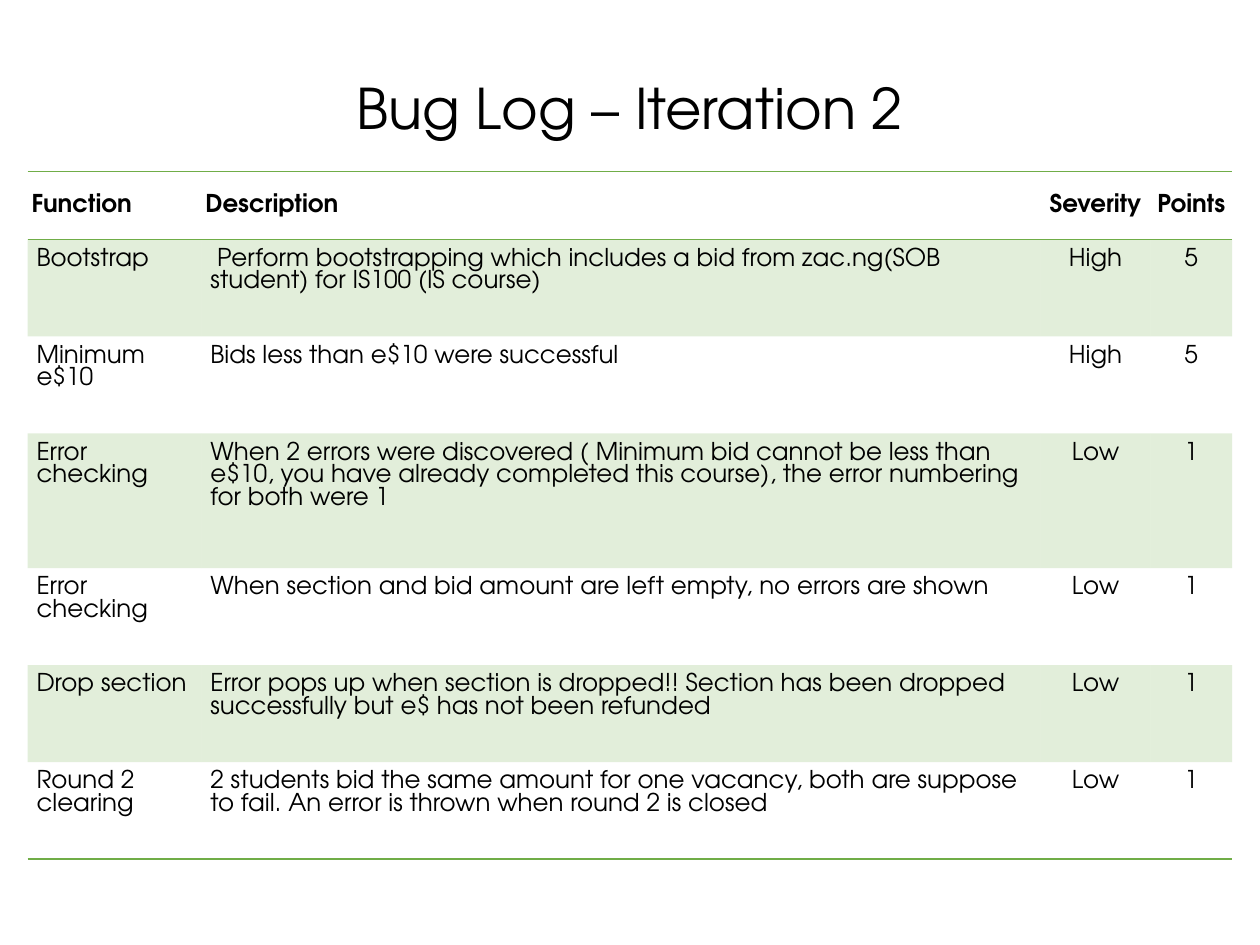
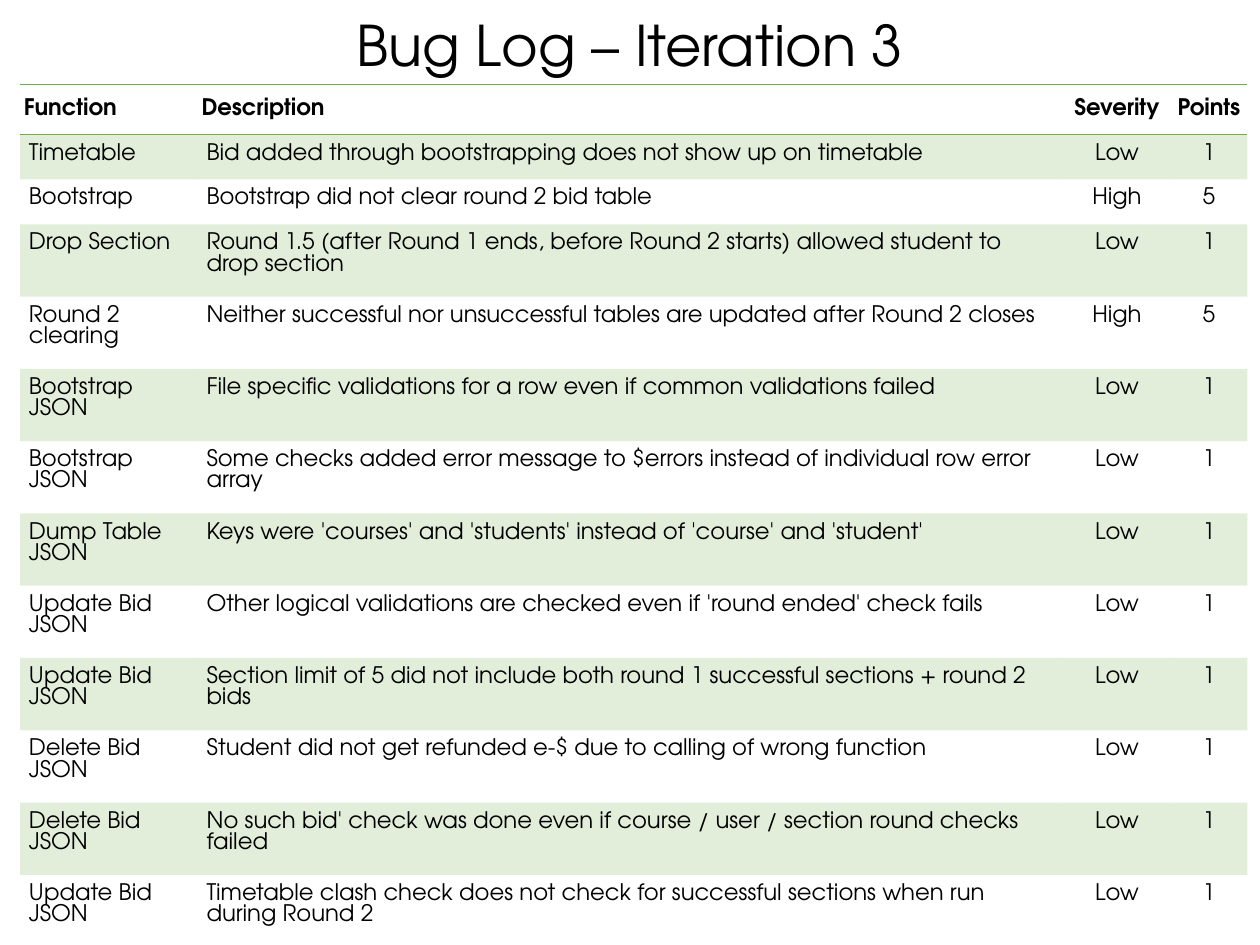
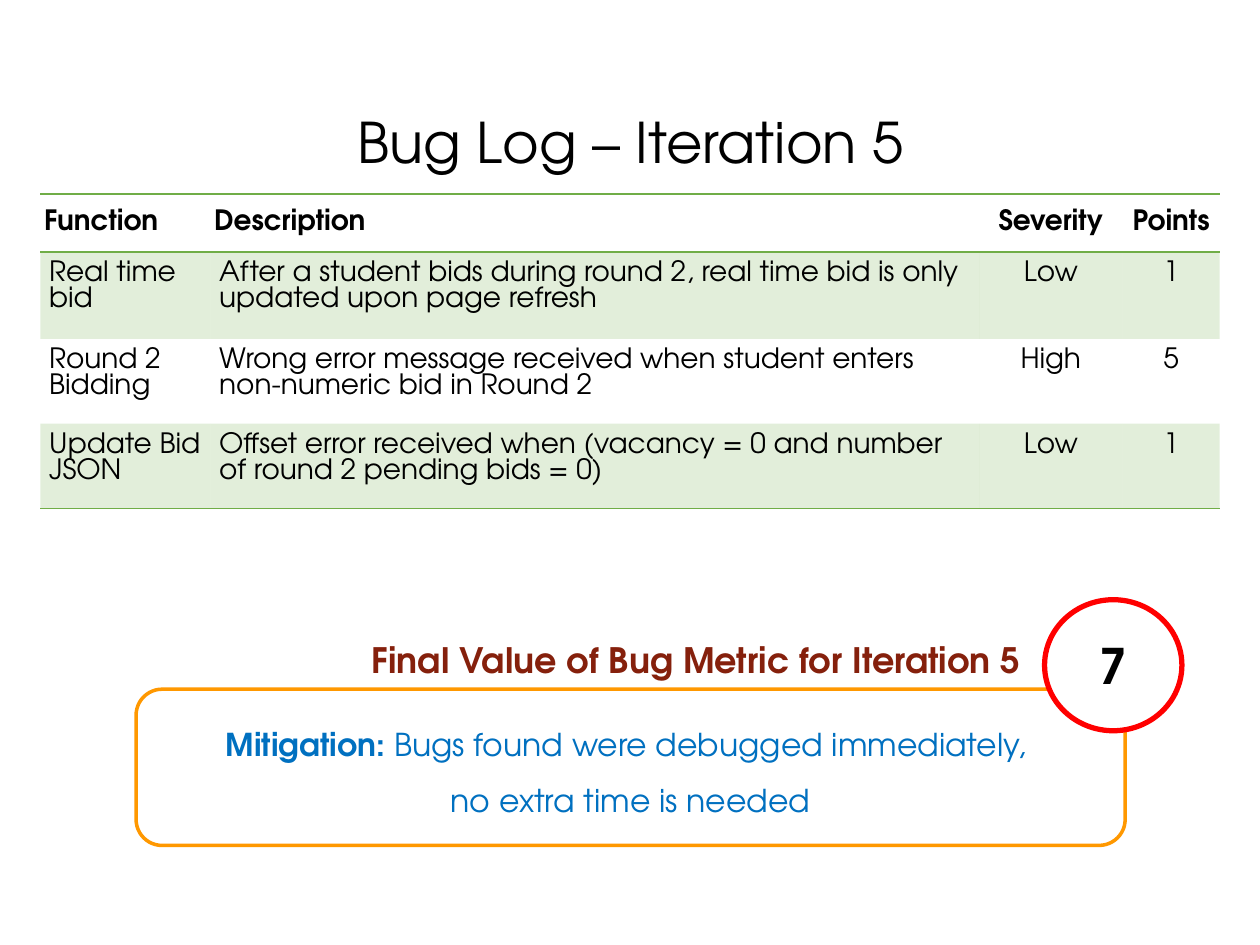
from dataclasses import dataclass

from lxml.etree import SubElement
from pptx import Presentation
from pptx.dml.color import RGBColor
from pptx.enum.shapes import MSO_SHAPE as SHAPE
from pptx.enum.text import MSO_ANCHOR as ANCHOR, PP_ALIGN as ALIGN
from pptx.oxml.ns import qn
from pptx.util import Inches, Pt

NO_STYLE = "{2D5ABB26-0587-4C30-8999-92F81FD0307C}"
HEADINGS = ("Function", "Description", "Severity", "Points")
POINTS = {"Low": "1", "High": "5"}


@dataclass(frozen=True)
class Theme:
    font: str = "TeX Gyre Adventor"
    black: str = "000000"
    white: str = "FFFFFF"
    green: str = "70AD47"
    orange: str = "FF9800"
    red: str = "FF0000"
    blue: str = "0070C0"
    brown: str = "85200C"
    band_alpha: int = 20000
    title_size: int = 32
    score_size: int = 28
    metric_size: int = 20
    note_size: int = 18


class Deck:
    def __init__(self, theme):
        self.theme = theme
        self.prs = Presentation()
        self.prs.slide_width, self.prs.slide_height = Inches(10), Inches(7.5)
        self.s = None

    def new_slide(self):
        self.s = self.prs.slides.add_slide(self.prs.slide_layouts[6])

    def add_runs(self, tf, paragraphs, size, color, align=ALIGN.LEFT, spacing=None):
        """Fill a text frame; each paragraph is a list of (text, bold) runs."""
        tf.word_wrap = True
        for i, runs in enumerate(paragraphs):
            p = tf.add_paragraph() if i else tf.paragraphs[0]
            p.alignment = align
            if spacing:
                p.line_spacing = spacing
            for text, bold in runs:
                r = p.add_run()
                r.text = text
                r.font.name, r.font.size, r.font.bold = self.theme.font, Pt(size), bold
                r.font.color.rgb = RGBColor.from_string(color)

    def set_margins(self, holder, x, y):
        holder.margin_left = holder.margin_right = Inches(x)
        holder.margin_top = holder.margin_bottom = Inches(y)

    def text(self, box, runs, size, color, margins, anchor=ANCHOR.TOP, **style):
        tf = self.s.shapes.add_textbox(*map(Inches, box)).text_frame
        self.set_margins(tf, *margins)
        tf.vertical_anchor = anchor
        self.add_runs(tf, [runs], size, color, **style)

    def title(self, text, box):
        self.text(box, [(text, False)], self.theme.title_size, self.theme.black,
                  (0.1, 0.05), ANCHOR.MIDDLE, align=ALIGN.CENTER, spacing=0.9)

    def outlined(self, kind, box, line, width, paragraphs, size, color, margins,
                 anchor=ANCHOR.TOP, spacing=None):
        sp = self.s.shapes.add_shape(kind, *map(Inches, box))
        sp.shadow.inherit = False
        sp.fill.solid()
        sp.fill.fore_color.rgb = RGBColor.from_string(self.theme.white)
        sp.line.color.rgb = RGBColor.from_string(line)
        sp.line.width = Pt(width)
        tf = sp.text_frame
        self.set_margins(tf, *margins)
        tf.vertical_anchor = anchor
        self.add_runs(tf, paragraphs, size, color, ALIGN.CENTER, spacing)

    def rule(self, cell, *sides):
        """Draw green borders; must run before the cell is filled."""
        for side in sides:
            ln = SubElement(cell._tc.get_or_add_tcPr(), qn(f"a:{side}"), w=str(Pt(1)))
            SubElement(SubElement(ln, qn("a:solidFill")), qn("a:srgbClr"),
                       val=self.theme.green)

    def band(self, cell):
        cell.fill.solid()
        cell.fill.fore_color.rgb = RGBColor.from_string(self.theme.green)
        clr = cell._tc.tcPr.find(f"{qn('a:solidFill')}/{qn('a:srgbClr')}")
        SubElement(clr, qn("a:alpha"), val=str(self.theme.band_alpha))

    def bug_table(self, left, top, widths, heights, bugs, size):
        rows = [HEADINGS] + [(*bug, POINTS[bug[-1]]) for bug in bugs]
        frame = self.s.shapes.add_table(len(rows), len(widths), Inches(left), Inches(top),
                                        Inches(sum(widths)), Inches(sum(heights)))
        table = frame.table
        table.first_row = table.horz_banding = False
        table._tbl.tblPr[0].text = NO_STYLE
        for column, width in zip(table.columns, widths):
            column.width = Inches(width)
        for i, (row, height, values) in enumerate(zip(table.rows, heights, rows)):
            row.height = Inches(height)
            header = i == 0
            for j, (cell, value) in enumerate(zip(row.cells, values)):
                self.set_margins(cell, *((0.03, 0.09) if header else (0.07, 0.07)))
                cell.vertical_anchor = ANCHOR.MIDDLE if header else ANCHOR.TOP
                self.add_runs(cell.text_frame, [[(value, header)]], size, self.theme.black,
                              ALIGN.CENTER if j >= 2 else ALIGN.LEFT)
                if header:
                    self.rule(cell, "lnT", "lnB")
                elif i == len(rows) - 1:
                    self.rule(cell, "lnB")
                if i % 2:
                    self.band(cell)
                else:
                    cell.fill.background()


ITERATION_2 = [
    ("Bootstrap", " Perform bootstrapping which includes a bid from zac.ng(SOB student) "
     "for IS100 (IS course)", "High"),
    ("Minimum e$10", "Bids less than e$10 were successful", "High"),
    ("Error checking", "When 2 errors were discovered ( Minimum bid cannot be less than "
     "e$10, you have already completed this course), the error numbering for both were 1",
     "Low"),
    ("Error checking", "When section and bid amount are left empty, no errors are shown",
     "Low"),
    ("Drop section", "Error pops up when section is dropped!! Section has been dropped "
     "successfully but e$ has not been refunded", "Low"),
    ("Round 2 clearing", "2 students bid the same amount for one vacancy, both are suppose "
     "to fail. An error is thrown when round 2 is closed", "Low"),
]

ITERATION_3 = [
    ("Timetable", "Bid added through bootstrapping does not show up on timetable", "Low"),
    ("Bootstrap", "Bootstrap did not clear round 2 bid table", "High"),
    ("Drop Section", "Round 1.5 (after Round 1 ends, before Round 2 starts) allowed student "
     "to drop section", "Low"),
    ("Round 2 clearing", "Neither successful nor unsuccessful tables are updated after "
     "Round 2 closes", "High"),
    ("Bootstrap JSON", "File specific validations for a row even if common validations "
     "failed", "Low"),
    ("Bootstrap JSON", "Some checks added error message to $errors instead of individual "
     "row error array", "Low"),
    ("Dump Table JSON", "Keys were 'courses' and 'students' instead of 'course' and "
     "'student'", "Low"),
    ("Update Bid JSON", "Other logical validations are checked even if 'round ended' check "
     "fails", "Low"),
    ("Update Bid JSON", "Section limit of 5 did not include both round 1 successful "
     "sections + round 2 bids", "Low"),
    ("Delete Bid JSON", "Student did not get refunded e-$ due to calling of wrong function",
     "Low"),
    ("Delete Bid JSON", "No such bid' check was done even if course / user / section round "
     "checks failed", "Low"),
    ("Update Bid JSON", "Timetable clash check does not check for successful sections when "
     "run during Round 2", "Low"),
]

ITERATION_5 = [
    ("Real time bid", "After a student bids during round 2, real time bid is only updated "
     "upon page refresh", "Low"),
    ("Round 2 Bidding", "Wrong error message received when student enters non-numeric bid "
     "in Round 2", "High"),
    ("Update Bid JSON", "Offset error received when (vacancy = 0 and number of round 2 "
     "pending bids = 0)", "Low"),
]


def iteration_2(deck):
    deck.new_slide()
    deck.title("Bug Log – Iteration 2", (0.1, 0.59, 9.8, 0.58))
    heights = [0.54, 0.77, 0.77, 1.07, 0.77, 0.77, 0.77]
    deck.bug_table(0.22, 1.36, [1.38, 6.66, 0.87, 0.65], heights, ITERATION_2, 14)


def iteration_3(deck):
    deck.new_slide()
    deck.title("Bug Log – Iteration 3", (0.1, 0.09, 9.8, 0.58))
    heights = [0.39, 0.35, 0.35] + [5.65 / 10] * 10
    deck.bug_table(0.16, 0.67, [1.41, 6.87, 0.85, 0.61], heights, ITERATION_3, 13)


def iteration_5(deck):
    t = deck.theme
    deck.new_slide()
    deck.title("Bug Log – Iteration 5", (0.32, 0.86, 9.37, 0.58))
    heights = [0.46, 0.69, 0.42, 0.42]
    deck.bug_table(0.32, 1.54, [1.35, 6.1, 1.14, 0.77], heights, ITERATION_5, 16)
    mitigation = [[("Mitigation: ", True), ("Bugs found were debugged immediately, ", False)],
                  [("no extra time is needed", False)]]
    deck.outlined(SHAPE.ROUNDED_RECTANGLE, (1.08, 5.47, 7.85, 1.24), t.orange, 2,
                  mitigation, t.note_size, t.blue, (0.13, 0.07), spacing=1.5)
    deck.text((2.82, 4.94, 5.48, 0.53), [("Final Value of Bug Metric for Iteration 5", True)],
              t.metric_size, t.brown, (0.13, 0.13))
    deck.outlined(SHAPE.OVAL, (8.29, 4.76, 1.09, 1.04), t.red, 3, [[("7", True)]],
                  t.score_size, t.black, (0.13, 0.13), ANCHOR.MIDDLE)


def main():
    deck = Deck(Theme())
    for build in (iteration_2, iteration_3, iteration_5):
        build(deck)
    deck.prs.save("out.pptx")


if __name__ == "__main__":
    main()
